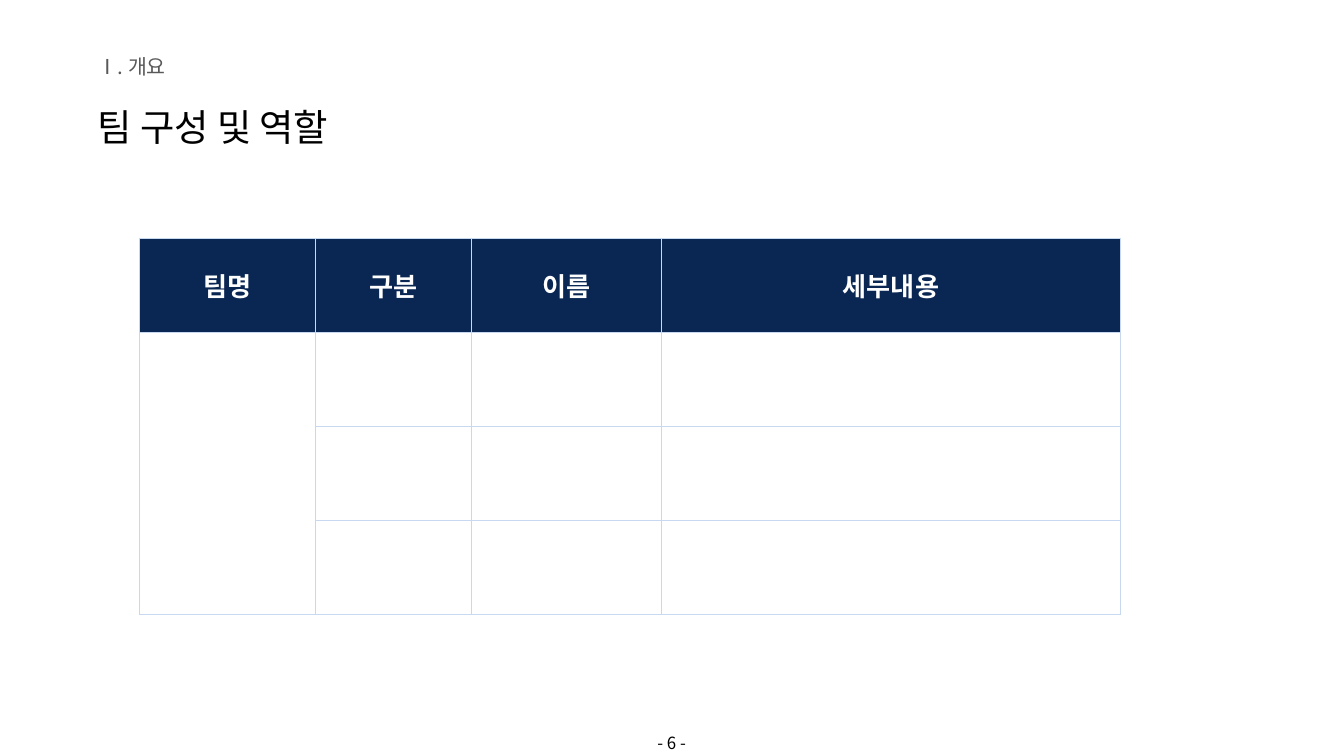
from lxml.etree import SubElement
from pptx import Presentation
from pptx.dml.color import RGBColor
from pptx.enum.text import MSO_ANCHOR as Anchor, MSO_AUTO_SIZE as AutoSize, PP_ALIGN as Align
from pptx.oxml.ns import qn
from pptx.util import Inches, Pt

COLORS = {"navy": "0A2753", "white": "FFFFFF", "black": "000000", "gray": "595959", "border": "C6D9F1"}
KOREAN_FONT = "Noto Sans CJK KR"
HEADERS = ["팀명", "구분", "이름", "세부내용"]
COLUMN_WIDTHS = [2.62, 2.32, 2.83, 6.82]
ROW_HEIGHT = 1.4
BODY_ROWS = 3


def color(name):
    """Return the named palette colour."""
    return RGBColor.from_string(COLORS[name])


def write(text_frame, text, size, color_name, font=KOREAN_FONT, bold=False, align=Align.LEFT):
    """Set one formatted paragraph, with the Korean font for its Hangul."""
    text_frame.text = text
    paragraph = text_frame.paragraphs[0]
    paragraph.alignment = align
    run = paragraph.runs[0]
    run.font.name = font
    run.font.size = Pt(size)
    run.font.bold = bold
    run.font.color.rgb = color(color_name)
    SubElement(run._r.get_or_add_rPr(), qn("a:ea"), typeface=KOREAN_FONT)


def place_text(shape, box, text, size, color_name, anchor=Anchor.TOP, align=Align.LEFT):
    """Move a text shape to its box and write its text."""
    shape.left, shape.top, shape.width, shape.height = map(Inches, box)
    text_frame = shape.text_frame
    text_frame.word_wrap = True
    text_frame.auto_size = AutoSize.NONE
    text_frame.vertical_anchor = anchor
    write(text_frame, text, size, color_name, align=align)


def add_heading(slide, left, top):
    """Place the section label and the slide title below it."""
    label = slide.shapes.add_textbox(0, 0, 0, 0)
    place_text(label, (left, top, 5.73, 0.47), "Ⅰ. 개요", 22, "gray")
    place_text(slide.shapes.title, (left, top + 0.74, 13.34, 0.77), "팀 구성 및 역할", 40, "black")


def style_cell(cell, fill_name):
    """Fill a cell and draw its four borders."""
    properties = cell._tc.get_or_add_tcPr()
    for side in ("a:lnL", "a:lnR", "a:lnT", "a:lnB"):
        line = SubElement(properties, qn(side), w=str(Pt(1)))
        fill = SubElement(line, qn("a:solidFill"))
        SubElement(fill, qn("a:srgbClr"), val=COLORS["border"])
    cell.fill.solid()
    cell.fill.fore_color.rgb = color(fill_name)
    cell.vertical_anchor = Anchor.MIDDLE


def add_team_table(slide, left, top):
    """Add the team table with a header row and a merged team column."""
    row_count = BODY_ROWS + 1
    frame = slide.shapes.add_table(
        row_count, len(HEADERS), Inches(left), Inches(top),
        Inches(sum(COLUMN_WIDTHS)), Inches(ROW_HEIGHT * row_count))
    table = frame.table
    for column, width in zip(table.columns, COLUMN_WIDTHS):
        column.width = Inches(width)
    for index, row in enumerate(table.rows):
        row.height = Inches(ROW_HEIGHT)
        for cell in row.cells:
            style_cell(cell, "white" if index else "navy")
    for cell, header in zip(table.rows[0].cells, HEADERS):
        write(cell.text_frame, header, 28, "white", "Calibri", True, Align.CENTER)
    table.cell(1, 0).merge(table.cell(BODY_ROWS, 0))


def add_page_number(slide, box):
    """Add the centred page number."""
    number = slide.shapes.add_textbox(0, 0, 0, 0)
    place_text(number, box, "- 6 -", 18, "black", Anchor.MIDDLE, Align.CENTER)


def main():
    """Build and save the team slide."""
    presentation = Presentation()
    presentation.slide_width = Inches(20)
    presentation.slide_height = Inches(11.25)
    slide = presentation.slides.add_slide(presentation.slide_layouts[5])
    slide.background.fill.solid()
    slide.background.fill.fore_color.rgb = color("white")
    add_heading(slide, 1.35, 0.76)
    add_team_table(slide, 2.08, 3.54)
    add_page_number(slide, (8.83, 10.86, 2.33, 0.4))
    presentation.save("out.pptx")


if __name__ == "__main__":
    main()
